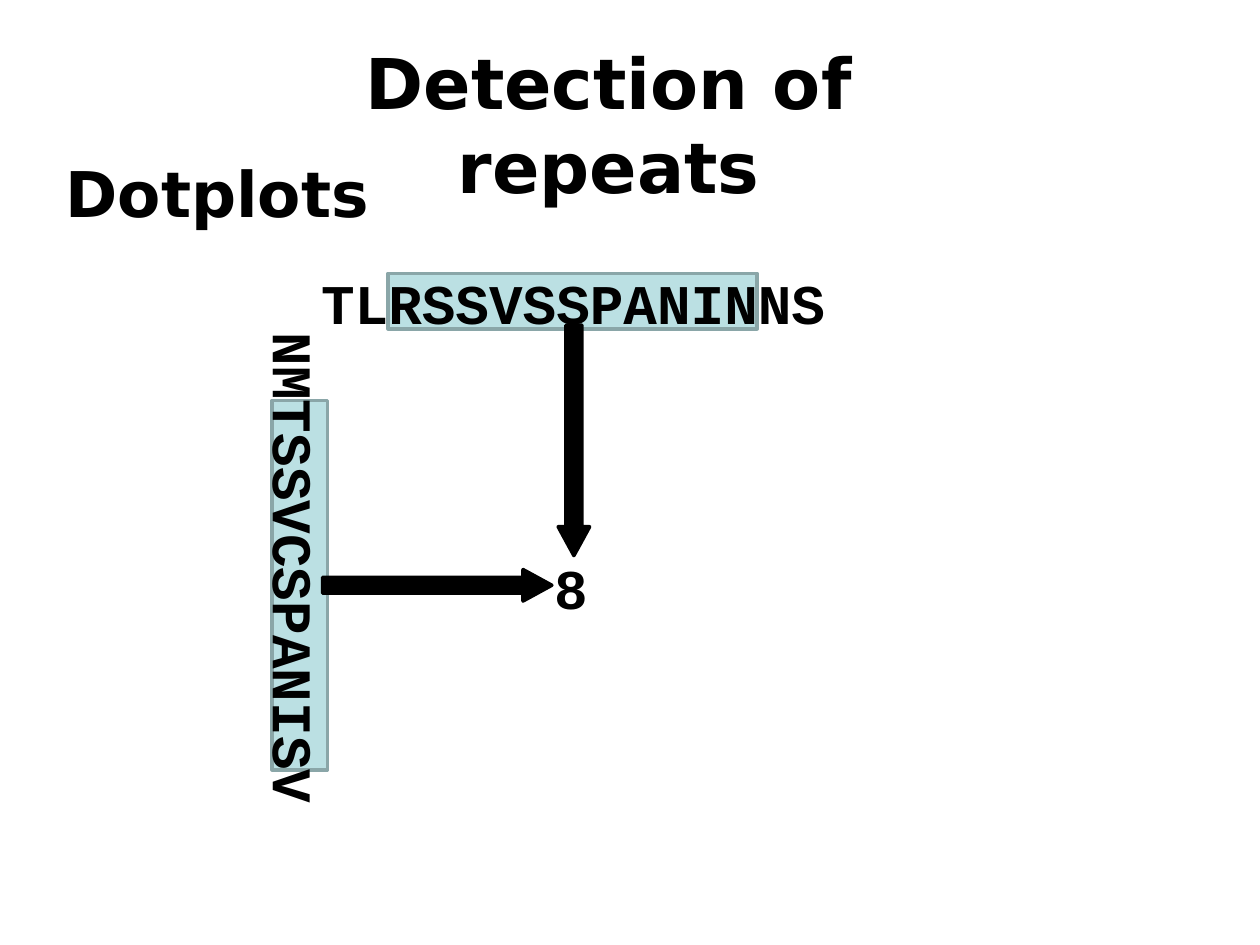
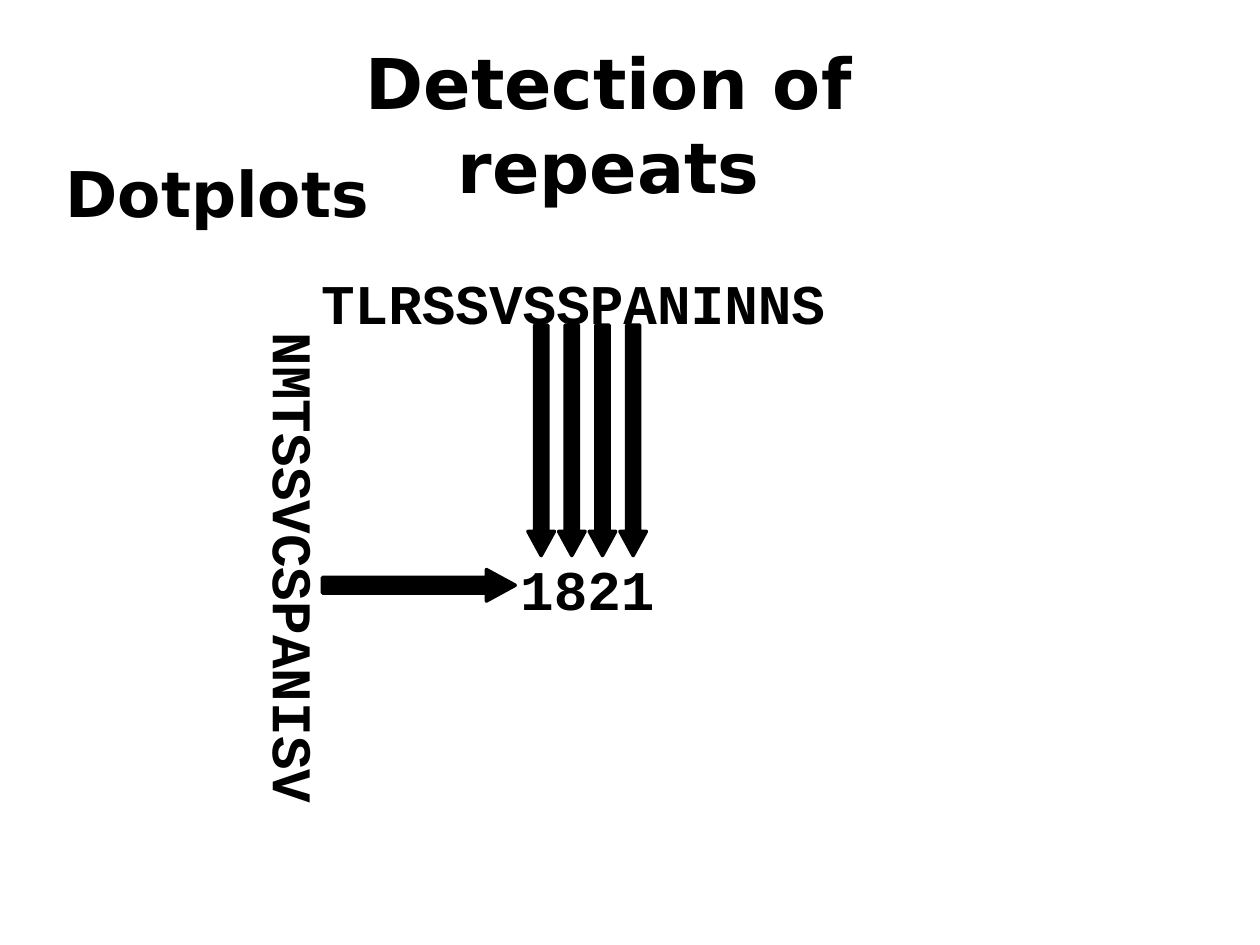
from lxml.etree import SubElement
from pptx import Presentation
from pptx.dml.color import RGBColor
from pptx.enum.shapes import MSO_SHAPE
from pptx.enum.text import MSO_ANCHOR, MSO_AUTO_SIZE, PP_ALIGN
from pptx.oxml.ns import qn
from pptx.util import Inches, Pt

BLACK = RGBColor(0x00, 0x00, 0x00)
WINDOW_FILL = RGBColor(0xBB, 0xE0, 0xE3)
WINDOW_LINE = RGBColor(0x8A, 0xA6, 0xA8)
HEADING_FONT = "DejaVu Sans"
SEQUENCE_FONT = "Courier New"
ARROW_TOP, ARROW_HEIGHT = 2.58, 1.83


def write_text(shape, text, font_name, size, align=PP_ALIGN.LEFT):
    """Put one bold black paragraph at the top of a shape."""
    frame = shape.text_frame
    frame.text = text
    frame.word_wrap = True
    frame.auto_size = MSO_AUTO_SIZE.NONE
    frame.vertical_anchor = MSO_ANCHOR.TOP
    para = frame.paragraphs[0]
    para.alignment = align
    font = para.runs[0].font
    font.name, font.size, font.bold = font_name, Pt(size), True
    font.color.rgb = BLACK
    return para


def fill_heading(placeholder, text, size, left, top, width, height, align):
    """Move a placeholder and write an unbulleted heading in it."""
    placeholder.left, placeholder.top = Inches(left), Inches(top)
    placeholder.width, placeholder.height = Inches(width), Inches(height)
    para = write_text(placeholder, text, HEADING_FONT, size, align)
    para.line_spacing = Pt(round(size * 1.2))
    para.space_before = Pt(0)
    properties = para._p.get_or_add_pPr()
    properties.set("marL", "0")
    properties.set("indent", "0")
    SubElement(properties, qn("a:buNone"))


def add_sequence(page, text, left, top, width, rotation=0):
    """Add a line of monospaced letters, optionally rotated."""
    box = page.shapes.add_textbox(
        Inches(left), Inches(top), Inches(width), Inches(0.64))
    box.rotation = rotation
    write_text(box, text, SEQUENCE_FONT, 32)


def add_solid(page, kind, left, top, width, height, fill, line):
    """Add a filled and outlined preset shape."""
    shape = page.shapes.add_shape(
        kind, Inches(left), Inches(top), Inches(width), Inches(height))
    shape.shadow.inherit = False
    shape.fill.solid()
    shape.fill.fore_color.rgb = fill
    shape.line.color.rgb = line
    shape.line.width = Pt(2)
    return shape


def add_window(page, left, top, width, height):
    """Highlight a window of residues."""
    add_solid(page, MSO_SHAPE.RECTANGLE, left, top, width, height,
              WINDOW_FILL, WINDOW_LINE)


def add_arrow(page, kind, left, top, width, height):
    """Add a thick black arrow with a short head."""
    arrow = add_solid(page, kind, left, top, width, height, BLACK, BLACK)
    arrow.adjustments[0] = 0.5
    arrow.adjustments[1] = 0.915


def add_down_arrow(page, left, width):
    """Point from the horizontal sequence down to a score."""
    add_arrow(page, MSO_SHAPE.DOWN_ARROW, left, ARROW_TOP, width, ARROW_HEIGHT)


def add_right_arrow(page, width):
    """Point from the vertical sequence across to the scores."""
    add_arrow(page, MSO_SHAPE.RIGHT_ARROW, 2.56, 4.52, width, 0.25)


def add_page(deck):
    """Add a slide with its two headings."""
    page = deck.slides.add_slide(deck.slide_layouts[1])
    fill_heading(page.shapes.title, "Detection of repeats", 40,
                 1.73, 0.26, 6.2, 1.45, PP_ALIGN.CENTER)
    fill_heading(page.placeholders[1], "Dotplots", 36,
                 0.42, 1.18, 9.08, 1.5, PP_ALIGN.LEFT)
    return page


def add_sequences(page):
    """Add the two compared sequences along the dotplot axes."""
    add_sequence(page, "TLRSSVSSPANINNS", 2.45, 2.08, 4.4)
    add_sequence(page, "NMTSSVCSPANISV", 0.35, 4.21, 3.98, rotation=90)


def build_single_score(deck):
    """Show one window pair and its score."""
    page = add_page(deck)
    add_window(page, 2.16, 3.18, 0.44, 2.93)
    add_window(page, 3.08, 2.17, 2.93, 0.44)
    add_sequences(page)
    add_right_arrow(page, 1.82)
    add_sequence(page, "8", 4.3, 4.34, 0.5)
    add_down_arrow(page, 4.43, 0.25)


def build_score_row(deck):
    """Show the scores of four neighbouring windows."""
    page = add_page(deck)
    add_sequences(page)
    scores = "1821"
    add_sequence(page, scores, 4.03, 4.35, 1.35)
    add_right_arrow(page, 1.53)
    for index in range(len(scores)):
        add_down_arrow(page, 4.19 + index * 0.73 / 3, 0.21)


def main():
    """Build and save the deck."""
    deck = Presentation()
    deck.slide_width, deck.slide_height = Inches(10), Inches(7.5)
    build_single_score(deck)
    build_score_row(deck)
    deck.save("out.pptx")


if __name__ == "__main__":
    main()
